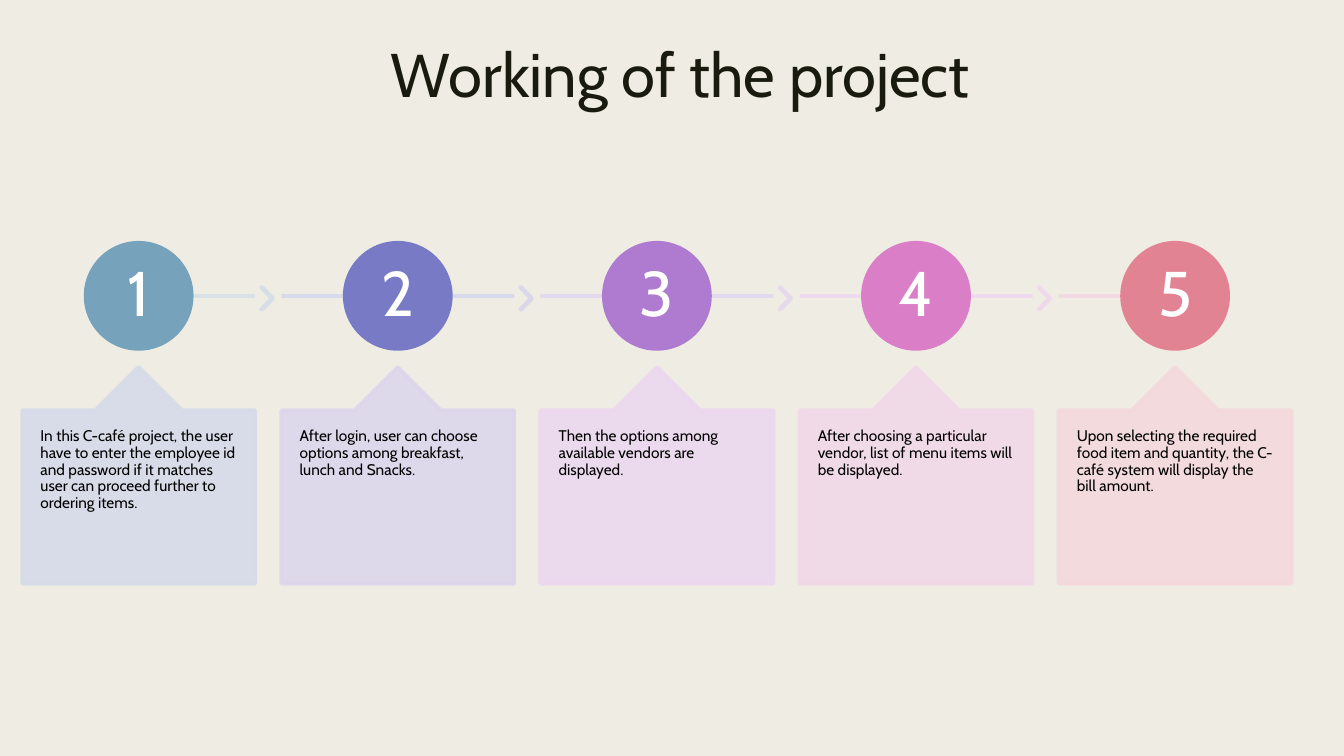
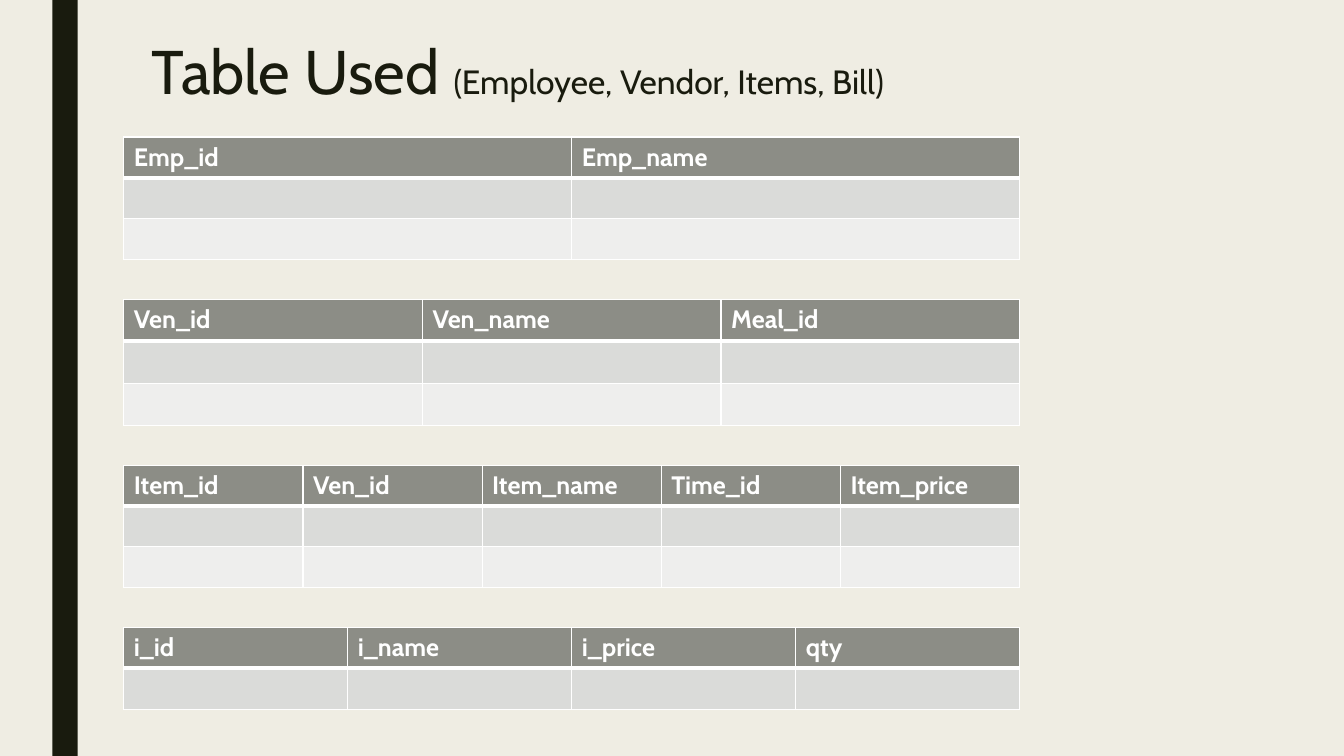
from lxml.etree import SubElement
from pptx import Presentation
from pptx.dml.color import RGBColor
from pptx.enum.shapes import MSO_CONNECTOR, MSO_SHAPE
from pptx.enum.text import MSO_ANCHOR, PP_ALIGN
from pptx.oxml.ns import qn
from pptx.util import Cm, Pt


def color(hex_string):
    return RGBColor.from_string(hex_string)


class Deck:
    """Hold the shared style and draw elements on the current slide."""

    FONT = "Cabin"
    PAPER, INK, WHITE, BLACK = "EFEDE3", "191B0E", "FFFFFF", "000000"
    HEADER, ROWS = "8C8D86", ("DADBD9", "EEEEED")
    LINE_WIDTH = Pt(2.75)
    PALE_ALPHA = 90

    def __init__(self):
        self.presentation = Presentation()
        self.presentation.slide_width = Cm(33.87)
        self.presentation.slide_height = Cm(19.05)
        background = self.presentation.slide_master.background.fill
        background.solid()
        background.fore_color.rgb = color(self.PAPER)
        self.slide = None

    def add_slide(self):
        layout = self.presentation.slide_layouts[6]
        self.slide = self.presentation.slides.add_slide(layout)

    def style_font(self, font, hex_string, size=None, bold=False):
        font.name = self.FONT
        font.color.rgb = color(hex_string)
        font.bold = bold
        if size:
            font.size = Pt(size)

    def set_alpha(self, shape, percent):
        for element in list(shape.element.spPr.iter(qn("a:srgbClr"))):
            SubElement(element, qn("a:alpha"), val=str(percent * 1000))

    def title(self, left, top, width, runs, align=PP_ALIGN.LEFT):
        box = self.slide.shapes.add_textbox(Cm(left), Cm(top), Cm(width), Cm(2.06))
        box.text_frame.word_wrap = True
        paragraph = box.text_frame.paragraphs[0]
        paragraph.alignment = align
        paragraph.line_spacing = 0.89
        for text, size in runs:
            run = paragraph.add_run()
            run.text = text
            self.style_font(run.font, self.INK, size)

    def shape(self, kind, left, top, width, height, fill, alpha=100, outlined=True):
        shape = self.slide.shapes.add_shape(
            kind, Cm(left), Cm(top), Cm(width), Cm(height))
        shape.shadow.inherit = False
        shape.fill.solid()
        shape.fill.fore_color.rgb = color(fill)
        if outlined:
            shape.line.color.rgb = color(fill)
            shape.line.width = self.LINE_WIDTH
        else:
            shape.line.fill.background()
        if alpha < 100:
            self.set_alpha(shape, alpha)
        return shape

    def label(self, shape, text, size, hex_string, inset, align, anchor):
        frame = shape.text_frame
        frame.word_wrap = True
        frame.vertical_anchor = anchor
        frame.margin_left = frame.margin_right = Cm(inset)
        frame.margin_top = frame.margin_bottom = Cm(inset)
        paragraph = frame.paragraphs[0]
        paragraph.text = text
        paragraph.alignment = align
        paragraph.line_spacing = 0.9
        self.style_font(paragraph.font, hex_string, size)

    def line(self, start, end, top, hex_string):
        connector = self.slide.shapes.add_connector(
            MSO_CONNECTOR.STRAIGHT, Cm(start), Cm(top), Cm(end), Cm(top))
        connector.line.color.rgb = color(hex_string)
        connector.line.width = self.LINE_WIDTH
        self.set_alpha(connector, self.PALE_ALPHA)
        SubElement(connector.element.spPr, qn("a:effectLst"))

    def chevron(self, left, top, hex_string):
        shape = self.shape(MSO_SHAPE.CHEVRON, left, top, 0.3, 0.56,
                           hex_string, self.PALE_ALPHA)
        shape.adjustments[0] = 0.9

    def number(self, left, top, text, hex_string):
        shape = self.shape(MSO_SHAPE.OVAL, left, top, 2.67, 2.67, hex_string)
        self.label(shape, text, 45, self.WHITE, 0.1, PP_ALIGN.CENTER, MSO_ANCHOR.MIDDLE)

    def callout(self, left, top, width, text, hex_string):
        shape = self.shape(MSO_SHAPE.UP_ARROW_CALLOUT, left, top, width, 5.46,
                           hex_string, self.PALE_ALPHA)
        for index, value in enumerate((0.5, 0.2, 0.2, 1)):
            shape.adjustments[index] = value
        self.label(shape, text, 11, self.BLACK, 0.46, PP_ALIGN.LEFT, MSO_ANCHOR.TOP)

    def band(self):
        self.shape(MSO_SHAPE.RECTANGLE, 1.32, 0, 0.64, 19.05, self.INK, outlined=False)

    def style_cell(self, cell, row):
        widths = {"L": 1, "R": 1, "T": 3 if row == 1 else 1, "B": 3 if row == 0 else 1}
        properties = cell._tc.get_or_add_tcPr()
        for side, width in widths.items():
            border = SubElement(properties, qn(f"a:ln{side}"), w=str(Pt(width)))
            fill = SubElement(border, qn("a:solidFill"))
            SubElement(fill, qn("a:srgbClr"), val=self.WHITE)
        cell.fill.solid()
        cell.fill.fore_color.rgb = color(self.ROWS[(row - 1) % 2] if row else self.HEADER)

    def table(self, left, top, width, row_height, headers, row_count):
        table = self.slide.shapes.add_table(
            row_count, len(headers), Cm(left), Cm(top),
            Cm(width), Cm(row_height * row_count)).table
        for row in range(row_count):
            for column, header in enumerate(headers):
                cell = table.cell(row, column)
                self.style_cell(cell, row)
                if row == 0:
                    cell.text = header
                    self.style_font(cell.text_frame.paragraphs[0].font,
                                    self.WHITE, 18, True)


STEPS = [
    ("In this C-café project, the user have to enter the employee id and password "
     "if it matches user can proceed further to ordering items.",
     "77A2BB", "D6DBE9", "D6E0E7", "D6DDE8"),
    ("After login, user can choose options among breakfast, lunch and Snacks.",
     "797AC6", "DDD6EC", "D6D7EA", "D9D6EB"),
    ("Then the options among available vendors are displayed.",
     "AE7BD0", "EBD7EF", "E1D7ED", "E6D7EE"),
    ("After choosing a particular vendor, list of menu items will be displayed.",
     "DA7FC7", "F2D8E9", "F0D7F0", "F1D7EC"),
    ("Upon selecting the required food item and quantity, the C-café system will "
     "display the bill amount.",
     "E28394", "F4D9DC", "F2D8E5", None),
]

TABLES = [
    (("Emp_id", "Emp_name"), 3, 1.03),
    (("Ven_id", "Ven_name", "Meal_id"), 3, 1.06),
    (("Item_id", "Ven_id", "Item_name", "Time_id", "Item_price"), 3, 1.03),
    (("i_id", "i_name", "i_price", "qty"), 2, 1.03),
]


def add_working_slide(deck):
    deck.add_slide()
    deck.title(2, 1, 30.3, [("Working of the project", 44)], PP_ALIGN.CENTER)
    first_left, pitch, card_width = 0.56, 6.53, 5.87
    for index, (text, strong, pale, line_color, arrow_color) in enumerate(STEPS):
        left = first_left + index * pitch
        right = left + card_width
        middle = left + card_width / 2
        is_last = index == len(STEPS) - 1
        deck.line(left if index else middle, middle if is_last else right, 7.46, line_color)
        if not is_last:
            deck.chevron(right + 0.15, 7.24, arrow_color)
        deck.number(left + 1.6, 6.12, str(index + 1), strong)
        deck.callout(left, 9.25, card_width, text, pale)


def add_tables_slide(deck):
    deck.add_slide()
    deck.band()
    deck.title(3.58, 0.92, 22.12,
               [("Table Used ", 44), ("(Employee, Vendor, Items, Bill)", 24)])
    top, gap = 3.45, 1
    for headers, row_count, row_height in TABLES:
        deck.table(3.12, top, 22.58, row_height, headers, row_count)
        top += row_count * row_height + gap


def main():
    deck = Deck()
    add_working_slide(deck)
    add_tables_slide(deck)
    deck.presentation.save("out.pptx")


if __name__ == "__main__":
    main()
